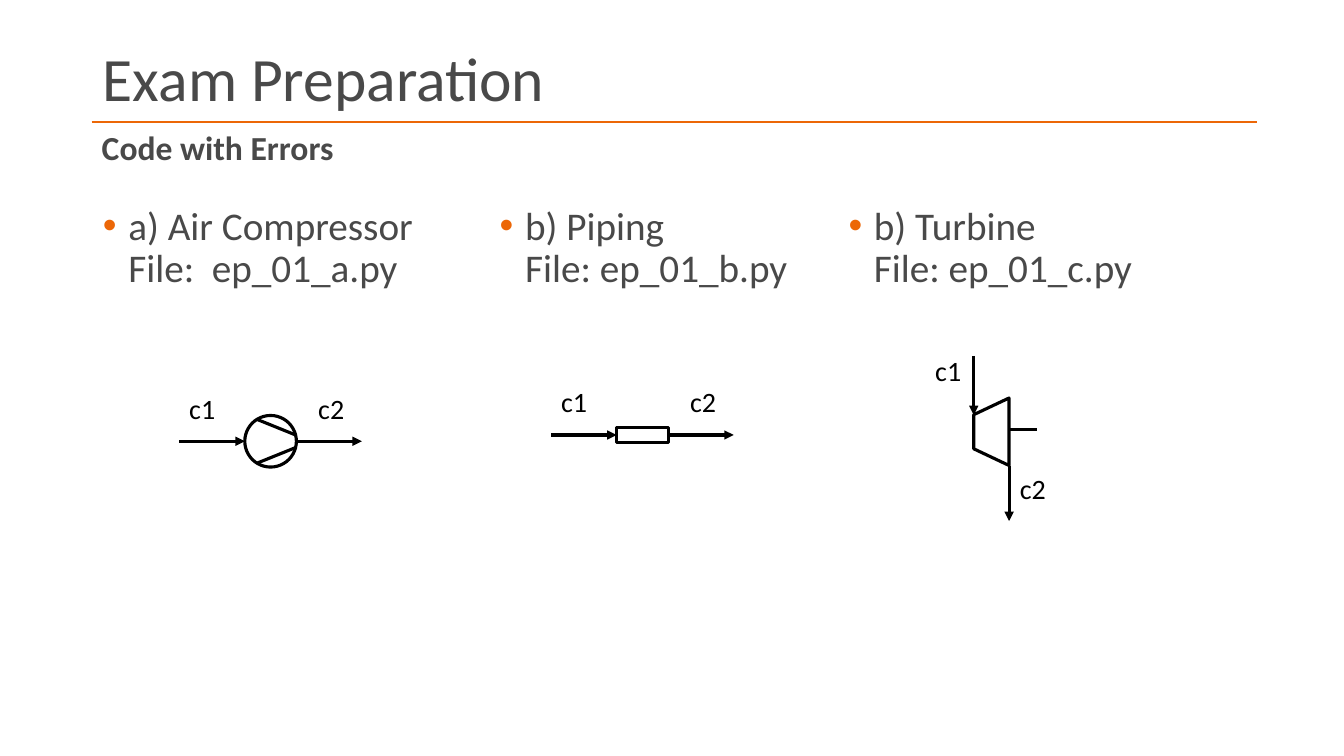
from lxml import etree
from pptx import Presentation
from pptx.dml.color import RGBColor
from pptx.enum.shapes import MSO_CONNECTOR, MSO_SHAPE
from pptx.enum.text import MSO_ANCHOR, MSO_AUTO_SIZE, PP_ALIGN
from pptx.oxml.ns import qn
from pptx.util import Cm, Pt

STRAIGHT = MSO_CONNECTOR.STRAIGHT
OVAL, RECTANGLE = MSO_SHAPE.OVAL, MSO_SHAPE.RECTANGLE
TOP, MIDDLE = MSO_ANCHOR.TOP, MSO_ANCHOR.MIDDLE
LEFT = PP_ALIGN.LEFT
NO_AUTOFIT = MSO_AUTO_SIZE.NONE

COLOURS = {"text": "494949", "accent": "EC6707", "ink": "000000", "paper": "FFFFFF"}
COMPARISON_LAYOUT = 4
SYMBOL_LINE = 2.25
HALF_WIDTH = 0.65
ARROW_LENGTH = 1.65

TITLE = {"size": 44, "bold": False}
SUBTITLE = {"size": 24, "bold": True}
LIST = {"size": 28, "bold": False}
LABEL = {"size": 20, "bold": False}

# Placeholder index, left, width, text
LISTS = [
    (2, 2.34, 9.02, "a) Air Compressor\vFile:  ep_01_a.py"),
    (4, 12.34, 8.79, "b) Piping\vFile: ep_01_b.py"),
    (3, 21.13, 8.79, "b) Turbine\vFile: ep_01_c.py"),
]


def colour(name):
    return RGBColor.from_string(COLOURS[name])


def write(shape, text, style, colour_name="text", anchor=TOP, **paragraph_format):
    frame = shape.text_frame
    frame.auto_size = NO_AUTOFIT
    frame.vertical_anchor = anchor
    para = frame.paragraphs[0]
    para.text = text
    values = {"alignment": LEFT, "space_before": Pt(0), **paragraph_format}
    for name, value in values.items():
        setattr(para, name, value)
    for span in para.runs:
        font_values = {"name": "Calibri", "size": Pt(style["size"]), "bold": style["bold"]}
        for name, value in font_values.items():
            setattr(span.font, name, value)
        span.font.color.rgb = colour(colour_name)
    return para


def place(shape, left, top, width, height):
    box = {"left": left, "top": top, "width": width, "height": height}
    for name, value in box.items():
        setattr(shape, name, Cm(value))
    return shape


def add_bullet(para):
    properties = para._p.get_or_add_pPr()
    properties.set("marL", str(Cm(0.64)))
    properties.set("indent", str(Cm(-0.64)))
    bullet_colour = etree.SubElement(properties, qn("a:buClr"))
    etree.SubElement(bullet_colour, qn("a:srgbClr"), val=COLOURS["accent"])
    etree.SubElement(properties, qn("a:buFont"), typeface="Arial")
    etree.SubElement(properties, qn("a:buChar"), char="•")


def add_line(page, start, end, colour_name="ink", weight=SYMBOL_LINE, arrow=False):
    line = page.shapes.add_connector(STRAIGHT, *map(Cm, (*start, *end)))
    line.line.color.rgb = colour(colour_name)
    line.line.width = Pt(weight)
    if arrow:
        etree.SubElement(line.line._get_or_add_ln(), qn("a:tailEnd"), type="triangle")
    etree.SubElement(line._element.spPr, qn("a:effectLst"))
    return line


def outline(shape):
    shape.shadow.inherit = False
    shape.fill.solid()
    shape.fill.fore_color.rgb = colour("paper")
    shape.line.color.rgb = colour("ink")
    shape.line.width = Pt(SYMBOL_LINE)


def add_label(page, text, left, top):
    box = page.shapes.add_textbox(Cm(left), Cm(top), Cm(1.19), Cm(1.12))
    box.text_frame.word_wrap = False
    write(box, text, LABEL, "ink")


def add_flow_symbol(page, kind, centre_x, centre_y, height):
    """Component with c1 flowing in from the left and c2 out to the right."""
    left, right = centre_x - HALF_WIDTH, centre_x + HALF_WIDTH
    body = page.shapes.add_shape(
        kind, Cm(left), Cm(centre_y - height / 2), Cm(2 * HALF_WIDTH), Cm(height))
    outline(body)
    start, end = left - ARROW_LENGTH, right + ARROW_LENGTH
    inlet = add_line(page, (start, centre_y), (left, centre_y), arrow=True)
    outlet = add_line(page, (right, centre_y), (end, centre_y), arrow=True)
    if kind == RECTANGLE:
        inlet.end_connect(body, 1)
        outlet.begin_connect(body, 3)
    for text, label_left in (("c1", start), ("c2", start + 3.25)):
        add_label(page, text, label_left, centre_y - 1.39)


def add_compressor(page, centre_x, centre_y):
    add_flow_symbol(page, OVAL, centre_x, centre_y, 2 * HALF_WIDTH)
    for side in (-1, 1):
        add_line(page, (centre_x - 0.34, centre_y + side * 0.55),
                 (centre_x + HALF_WIDTH, centre_y + side * 0.15))


def add_turbine(page, left, right, centre_y):
    add_line(page, (left, centre_y - 1.91), (left, centre_y - 0.42), arrow=True)
    add_line(page, (right, centre_y + 0.85), (right, centre_y + 2.25), arrow=True)
    add_label(page, "c1", left - 1.22, centre_y - 2.09)
    add_label(page, "c2", right + 0.02, centre_y + 0.88)
    corners = [(Cm(x), Cm(centre_y + offset)) for x, offset in (
        (right, 0.85), (left, 0.43), (left, -0.43), (right, -0.85))]
    builder = page.shapes.build_freeform(*corners[0])
    builder.add_line_segments(corners[1:], close=True)
    outline(builder.convert_to_shape())
    add_line(page, (right, centre_y - 0.05), (right + 0.71, centre_y - 0.05))


def add_texts(page):
    holders = {holder.placeholder_format.idx: holder for holder in page.placeholders}
    title = place(holders[0], 2.34, 1.02, 26.09, 2.06)
    write(title, "Exam Preparation", TITLE, anchor=MIDDLE, line_spacing=0.9)
    subtitle = place(holders[1], 2.31, 3.07, 29.24, 1.52)
    write(subtitle, "Code with Errors", SUBTITLE)
    for index, left, width, text in LISTS:
        holder = place(holders[index], left, 5.08, width, 12.09)
        add_bullet(write(holder, text, LIST, line_spacing=0.9, space_before=Pt(10)))
    for index in (10, 11, 12):
        if index in holders:
            holders[index]._element.getparent().remove(holders[index]._element)


def main():
    deck = Presentation()
    deck.slide_width, deck.slide_height = Cm(33.87), Cm(19.05)
    page = deck.slides.add_slide(deck.slide_layouts[COMPARISON_LAYOUT])
    add_line(page, (2.31, 3.07), (31.67, 3.07), "accent", 1.5)
    add_texts(page)
    add_compressor(page, 6.82, 11.12)
    add_flow_symbol(page, RECTANGLE, 16.19, 10.96, 0.39)
    add_turbine(page, 24.54, 25.43, 10.88)
    deck.save("out.pptx")


if __name__ == "__main__":
    main()
